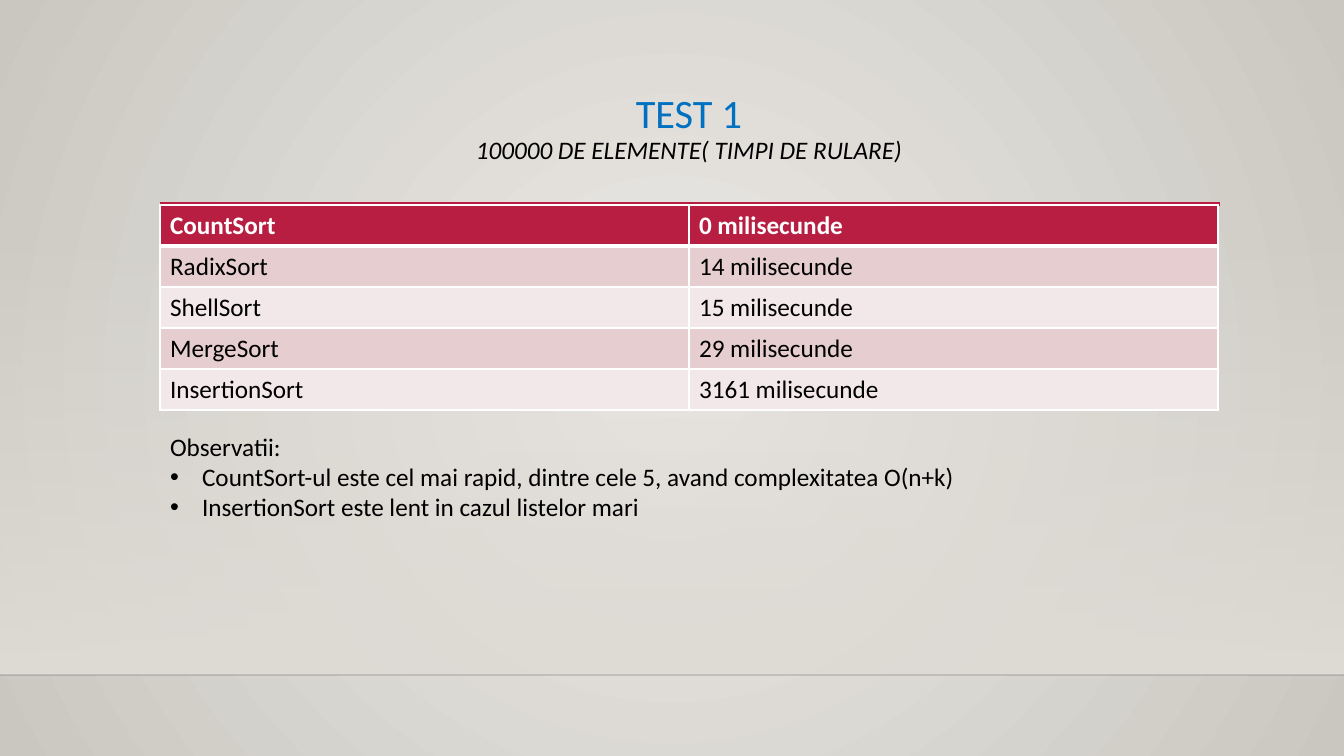
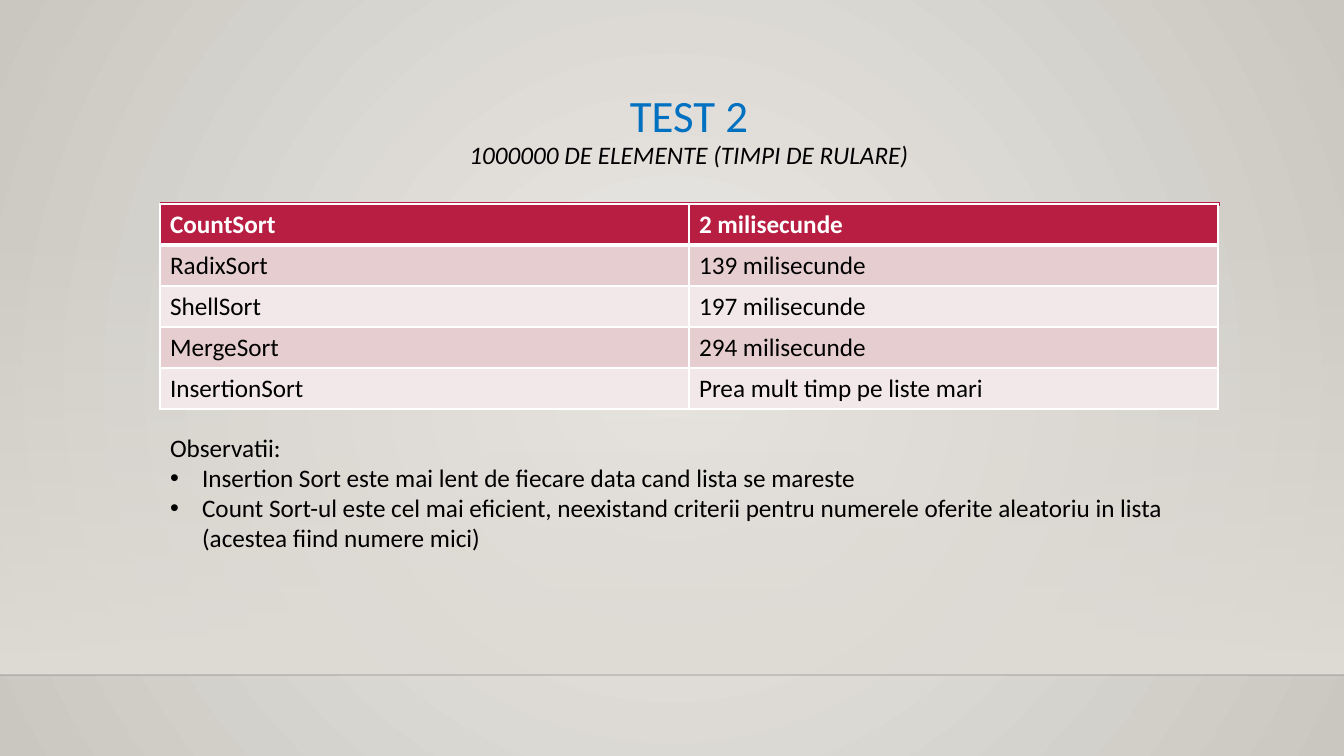
from dataclasses import dataclass

from lxml.etree import SubElement as Sub
from pptx import Presentation
from pptx.dml.color import RGBColor as Rgb
from pptx.dml.fill import FillFormat as Fill
from pptx.enum.shapes import MSO_CONNECTOR as Conn, MSO_SHAPE as Form
from pptx.enum.text import MSO_ANCHOR as Anchor, MSO_AUTO_SIZE as Auto, PP_ALIGN as Align
from pptx.oxml.ns import qn
from pptx.slide import Slide, SlideLayout as Layout, SlideMaster as Master
from pptx.text.text import Font
from pptx.util import Emu, Pt

# Shared style
SCALE = 914400 / 100.8
FACE = "Calibri"
RED, BLUE, BLACK, WHITE = "B71E42", "0070C0", "000000", "FFFFFF"
DARK, LIGHT = "E6CDCF", "F3E8E9"
WIDE, HIGH = 1344, 756
LEFT, SPAN, ROW = 160, 1058, 41
BAND, FLOOR, RULE = 223, 675, 204
HANG = 32


@dataclass
class Line:
    left: int
    top: int
    right: int
    hue: str
    width: float
    alpha: int = 100


@dataclass
class Test:
    title: str
    size: float
    sub: str
    top: int
    times: list[str]
    points: list[str]
    low: int
    tall: int


SORTS = ["CountSort", "RadixSort", "ShellSort", "MergeSort", "InsertionSort"]
LINES = [
    Line(0, FLOOR, WIDE, "000001", 1, 20),
    Line(LEFT, RULE, LEFT + SPAN + 2, RED, 2.5),
]
TESTS = [
    Test(
        "TEST 1", 28.8, "100000 DE\u00a0ELEMENTE( TIMPI DE RULARE)", 205,
        ["0 milisecunde", "14 milisecunde", "15 milisecunde",
         "29 milisecunde", "3161 milisecunde"],
        ["CountSort-ul este cel mai rapid, dintre cele 5,\u00a0avand complexitatea O(n+k)",
         "InsertionSort este lent in cazul listelor mari"],
        426, 102,
    ),
    Test(
        "TEST 2", 32, "1000000 DE ELEMENTE (TIMPI DE RULARE)", 204,
        ["2 milisecunde", "139 milisecunde", "197 milisecunde",
         "294 milisecunde", "Prea mult timp pe liste mari"],
        ["Insertion Sort este mai lent de fiecare data cand lista se mareste",
         "Count Sort-ul este cel mai eficient, neexistand criterii pentru "
         "numerele oferite aleatoriu in lista (acestea fiind numere mici)"],
        427, 132,
    ),
]


def px(count: float) -> Emu:
    return Emu(round(count * SCALE))


def tint(code: str) -> Rgb:
    return Rgb.from_string(code)


def style(font: Font, size: float, hue: str, bold: bool = False, slant: bool = False) -> None:
    font.name, font.size = FACE, Pt(size)
    font.bold, font.italic = bold, slant
    font.color.rgb = tint(hue)


def place(shape, left: int, top: int, width: int, high: int) -> None:
    shape.left, shape.top = px(left), px(top)
    shape.width, shape.height = px(width), px(high)


def blend(fill: Fill, first: str, last: str) -> None:
    fill.gradient()
    for stop, code in zip(fill.gradient_stops, (first, last)):
        stop.color.rgb = tint(code)


def fade(node, share: int) -> None:
    """Make the first colour in the node see-through."""
    Sub(next(node.iter(qn("a:srgbClr"))), qn("a:alpha"), val=str(share * 1000))


# Background, band and lines, kept on the master and layout
def paint(master: Master) -> None:
    blend(master.background.fill, "ECEAE7", "CAC7C1")
    lin = next(master.element.iter(qn("a:lin")))
    grad = lin.getparent()
    grad.remove(lin)
    glow = Sub(grad, qn("a:path"), {"path": "circle"})
    Sub(glow, qn("a:fillToRect"), {side: "50000" for side in "ltrb"})


def draw(slide: Slide, line: Line):
    rule = slide.shapes.add_connector(
        Conn.STRAIGHT, px(line.left), px(line.top), px(line.right), px(line.top))
    rule.line.color.rgb = tint(line.hue)
    rule.line.width = Pt(line.width)
    if line.alpha < 100:
        fade(rule.element.spPr, line.alpha)
    Sub(rule.element.spPr, qn("a:effectLst"))
    return rule


def dress(layout: Layout, slide: Slide) -> None:
    for spare in list(layout.placeholders):
        if spare.placeholder_format.idx >= 10:
            spare.element.getparent().remove(spare.element)
    band = slide.shapes.add_shape(Form.RECTANGLE, 0, px(BAND), px(WIDE), px(FLOOR - BAND))
    band.shadow.inherit = False
    band.line.fill.background()
    blend(band.fill, "DFDBD5", "DFDBD5")
    band.fill.gradient_angle = 270
    fade(band.element.spPr, 0)
    parts = [band, *(draw(slide, line) for line in LINES)]
    for spot, part in enumerate(parts, 2):
        layout.shapes.element.insert(spot, part.element)


# Title with its second line
def head(slide: Slide, test: Test) -> None:
    title = slide.shapes.title
    place(title, LEFT, 89, SPAN, 116)
    frame = title.text_frame
    frame.vertical_anchor = Anchor.TOP
    frame.auto_size = Auto.NONE
    para = frame.paragraphs[0]
    para.alignment, para.line_spacing = Align.CENTER, 0.9
    name = para.add_run()
    name.text = test.title
    style(name.font, test.size, BLUE)
    para.add_line_break()
    sub = para.add_run()
    sub.text = test.sub
    style(sub.font, 18, BLACK, slant=True)


# Table of running times
def edge(cell, top: int, base: int) -> None:
    props = cell._tc.get_or_add_tcPr()
    for spot, (side, width) in enumerate(zip("LRTB", (1, 1, top, base))):
        line = Sub(props, qn(f"a:ln{side}"), w=str(int(Pt(width))))
        Sub(Sub(line, qn("a:solidFill")), qn("a:srgbClr"), val=WHITE)
        props.insert(spot, line)


def grid(slide: Slide, test: Test) -> None:
    rows = list(zip(SORTS, test.times))
    table = slide.shapes.add_table(
        len(rows), 2, px(LEFT), px(test.top), px(SPAN), px(ROW * len(rows))).table
    for r, row in enumerate(rows):
        table.rows[r].height = px(ROW)
        first = r == 0
        for c, text in enumerate(row):
            cell = table.cell(r, c)
            cell.text = text
            style(cell.text_frame.paragraphs[0].font, 18, WHITE if first else BLACK, first)
            cell.fill.solid()
            cell.fill.fore_color.rgb = tint(RED if first else DARK if r % 2 else LIGHT)
            edge(cell, 3 if r == 1 else 1, 3 if first else 1)


# Remarks under the table
def remark(slide: Slide, test: Test) -> None:
    body = slide.placeholders[1]
    place(body, LEFT, test.low, SPAN, test.tall)
    frame = body.text_frame
    frame.auto_size = Auto.SHAPE_TO_FIT_TEXT
    frame.text = "\n".join(["Observatii:", *test.points])
    for row, para in enumerate(frame.paragraphs):
        para.space_before = Pt(0)
        style(para.font, 18, BLACK)
        props = para._p.get_or_add_pPr()
        hang = int(px(HANG)) if row else 0
        props.set("marL", str(hang))
        props.set("indent", str(-hang))
        mark = props.makeelement(qn("a:buChar"), {"char": "•"}) if row \
            else props.makeelement(qn("a:buNone"), {})
        props.find(qn("a:defRPr")).addprevious(mark)


deck = Presentation()
deck.slide_width, deck.slide_height = px(WIDE), px(HIGH)
layout = deck.slide_layouts[1]
paint(deck.slide_master)
for count, test in enumerate(TESTS):
    slide = deck.slides.add_slide(layout)
    if count == 0:
        dress(layout, slide)
    head(slide, test)
    grid(slide, test)
    remark(slide, test)
deck.save("out.pptx")
